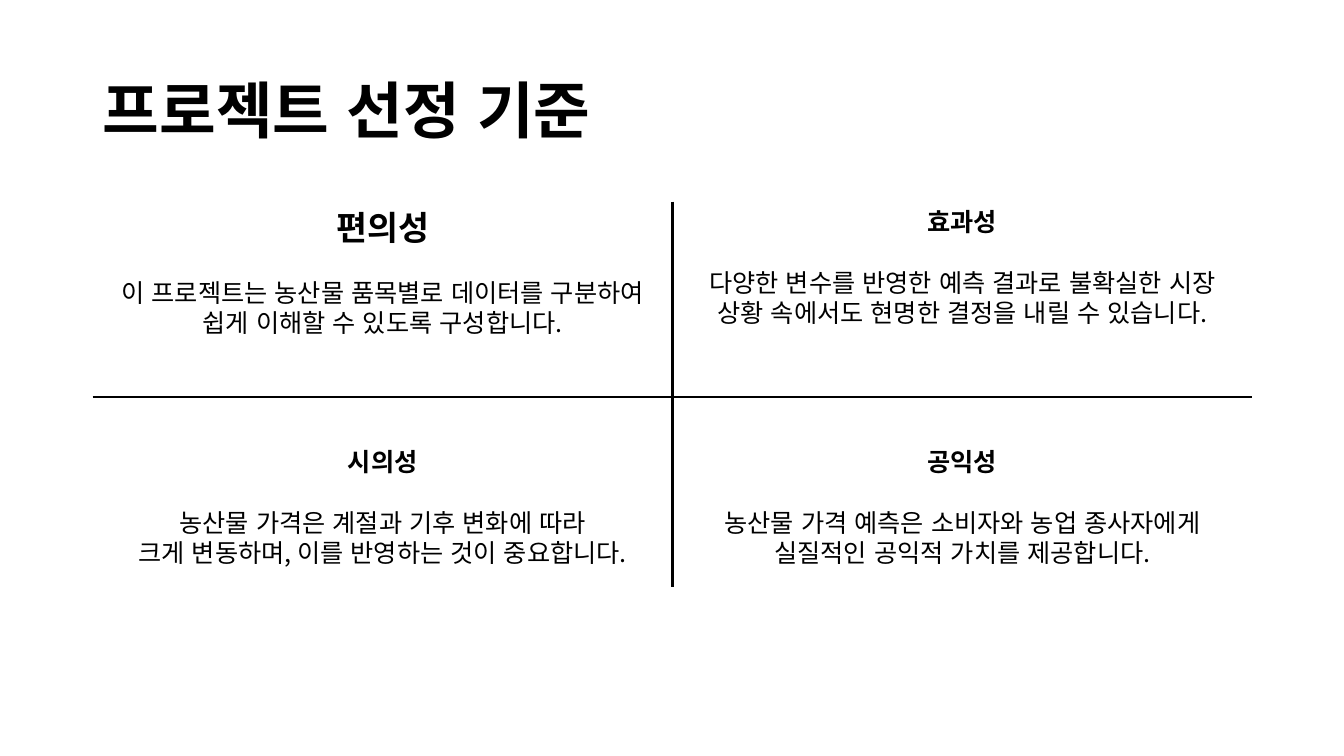
from lxml.etree import SubElement
from pptx import Presentation
from pptx.dml.color import RGBColor
from pptx.enum.lang import MSO_LANGUAGE_ID
from pptx.enum.text import MSO_ANCHOR, PP_ALIGN
from pptx.oxml.ns import qn
from pptx.util import Inches, Pt

FONT = "Noto Sans CJK KR"
COLORS = {"ink": "000000", "paper": "FFFFFF"}
LEFT, CENTER, RIGHT = 0.92, 6.67, 12.42
TOP, MIDDLE, BOTTOM = 2, 3.94, 5.82
LOWER_TEXT_TOP = 4.38
BODY_SIZE = 18
HEADING_GAP = 21.6

# left, top, heading, heading size, body lines
CRITERIA = [
    (LEFT, TOP, "편의성", 24,
     ["이 프로젝트는 농산물 품목별로 데이터를 구분하여 쉽게 이해할 수 있도록 구성합니다."]),
    (CENTER, TOP, "효과성", 18,
     ["다양한 변수를 반영한 예측 결과로 불확실한 시장",
      "상황 속에서도 현명한 결정을 내릴 수 있습니다."]),
    (LEFT, LOWER_TEXT_TOP, "시의성", 18,
     ["농산물 가격은 계절과 기후 변화에 따라",
      "크게 변동하며, 이를 반영하는 것이 중요합니다."]),
    (CENTER, LOWER_TEXT_TOP, "공익성", 18,
     ["농산물 가격 예측은 소비자와 농업 종사자에게",
      "실질적인 공익적 가치를 제공합니다."]),
]


def add_run(paragraph, text, size, bold=False):
    run = paragraph.add_run()
    run.text = text
    font = run.font
    font.size = Pt(size)
    font.bold = bold
    font.color.rgb = RGBColor.from_string(COLORS["ink"])
    font.language_id = MSO_LANGUAGE_ID.KOREAN
    font.name = FONT
    # Hangul takes the East Asian typeface
    SubElement(run._r.get_or_add_rPr(), qn("a:ea"), typeface=FONT)


def add_text_frame(slide, left, top, width, height):
    box = slide.shapes.add_textbox(
        Inches(left), Inches(top), Inches(width), Inches(height))
    box.text_frame.word_wrap = True
    return box.text_frame


def add_title(slide, text):
    frame = add_text_frame(slide, LEFT, 0.4, RIGHT - LEFT, 1.45)
    frame.vertical_anchor = MSO_ANCHOR.MIDDLE
    paragraph = frame.paragraphs[0]
    paragraph.line_spacing = 0.9
    add_run(paragraph, text, 44, bold=True)


def add_divider(slide, x1, y1, x2, y2):
    divider = slide.shapes.add_connector(
        1, Inches(x1), Inches(y1), Inches(x2), Inches(y2))
    divider.line.color.rgb = RGBColor.from_string(COLORS["ink"])
    divider.line.width = Pt(1.5)
    SubElement(divider._element.spPr, qn("a:effectLst"))


def add_criterion(slide, left, top, heading, heading_size, body_lines):
    frame = add_text_frame(slide, left, top, CENTER - LEFT, 1.31)
    title = frame.paragraphs[0]
    title.alignment = PP_ALIGN.CENTER
    title.space_after = Pt(HEADING_GAP)
    add_run(title, heading, heading_size, bold=True)
    for line in body_lines:
        paragraph = frame.add_paragraph()
        paragraph.alignment = PP_ALIGN.CENTER
        add_run(paragraph, line, BODY_SIZE)


def main():
    deck = Presentation()
    deck.slide_width, deck.slide_height = Inches(13.33), Inches(7.5)
    slide = deck.slides.add_slide(deck.slide_layouts[6])
    background = slide.background.fill
    background.solid()
    background.fore_color.rgb = RGBColor.from_string(COLORS["paper"])

    add_title(slide, "프로젝트 선정 기준")
    add_divider(slide, CENTER, TOP, CENTER, BOTTOM)
    add_divider(slide, LEFT, MIDDLE, RIGHT, MIDDLE)
    for criterion in CRITERIA:
        add_criterion(slide, *criterion)
    deck.save("out.pptx")


if __name__ == "__main__":
    main()
